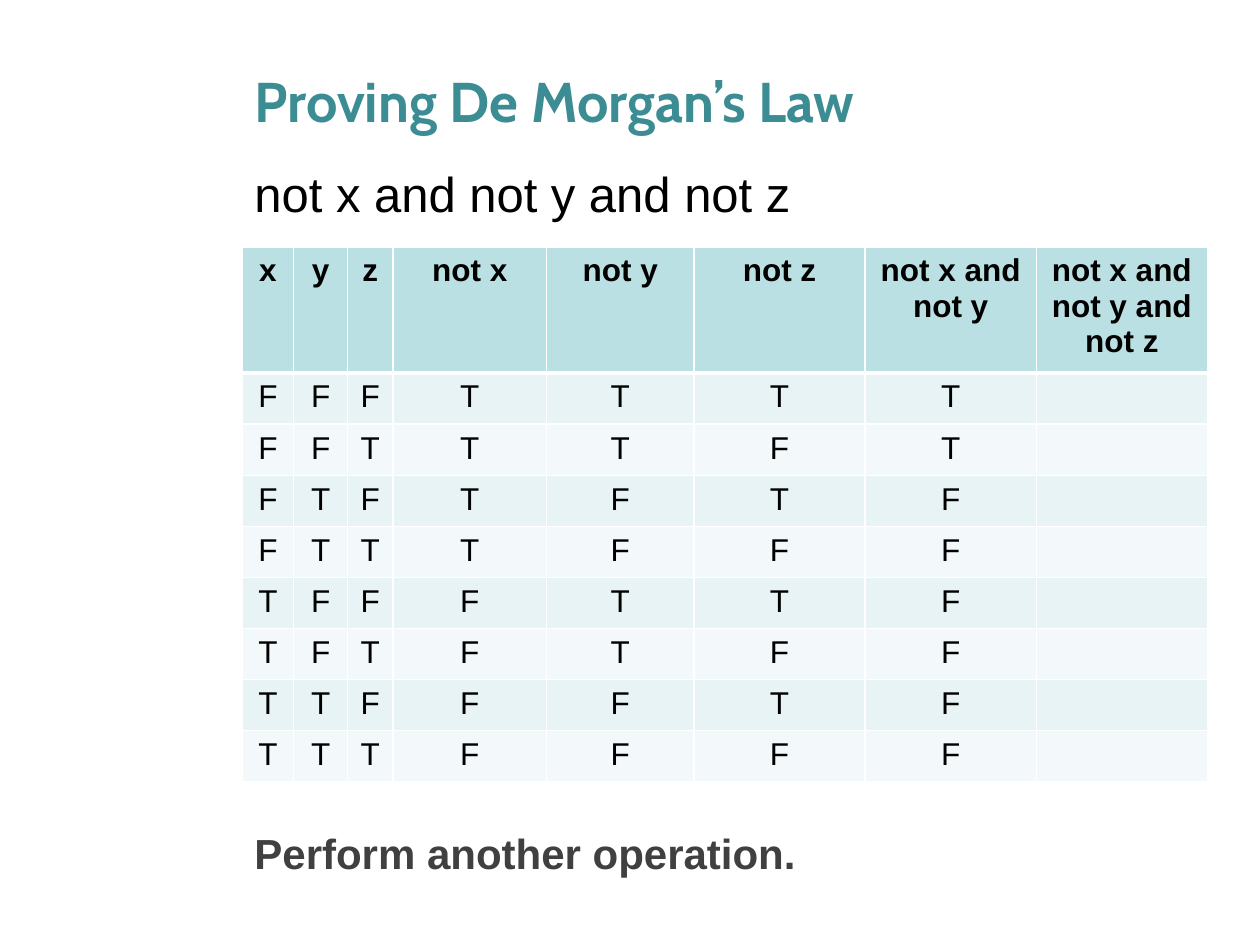
"""Build the truth table slide on De Morgan's Law."""
from lxml.etree import SubElement
from pptx import Presentation
from pptx.dml.color import RGBColor
from pptx.enum.text import MSO_ANCHOR, PP_ALIGN
from pptx.oxml.ns import qn
from pptx.util import Cm, Pt

TEAL = RGBColor(0x3C, 0x8C, 0x93)
BLACK = RGBColor(0, 0, 0)
GRAY = RGBColor(0x40, 0x40, 0x40)
WHITE = RGBColor(0xFF, 0xFF, 0xFF)
HEADER_FILL = RGBColor(0xBB, 0xE0, 0xE3)
BAND_FILLS = (RGBColor(0xE7, 0xF3, 0xF4), RGBColor(0xF3, 0xF9, 0xFA))

TITLE = "Proving De Morgan’s Law"
EXPRESSION = "not x and not y and not z"
PROMPT = "Perform another operation."
HEADERS = ["x", "y", "z", "not x", "not y", "not z", "not x and not y", EXPRESSION]
TRUTH_ROWS = ["FFFTTTT", "FFTTTFT", "FTFTFTF", "FTTTFFF",
              "TFFFTTF", "TFTFTFF", "TTFFFTF", "TTTFFFF"]
COLUMN_WIDTHS = [1.04, 1.09, 0.91, 3.1, 2.97, 3.45, 3.45, 3.45]
HEADER_HEIGHT, ROW_HEIGHT = 2.36, 1.03
LEFT, WIDTH = 4.88, 19.48


def add_run(paragraph, text, size, color, bold=False, font="Arial"):
    run = paragraph.add_run()
    run.text = text
    run.font.name = font
    run.font.size = Pt(size)
    run.font.bold = bold
    run.font.color.rgb = color


def add_line(slide, text, top, height, size, color, bold=False, font="Arial",
             anchor=MSO_ANCHOR.TOP, spacing=1.0, before=0):
    frame = slide.shapes.add_textbox(Cm(LEFT), Cm(top), Cm(WIDTH), Cm(height)).text_frame
    frame.word_wrap = True
    frame.vertical_anchor = anchor
    paragraph = frame.paragraphs[0]
    paragraph.line_spacing = spacing
    paragraph.space_before = Pt(before)
    add_run(paragraph, text, size, color, bold, font)


def set_borders(cell, top, bottom):
    properties = cell._tc.get_or_add_tcPr()
    for side, width in (("L", 1), ("R", 1), ("T", top), ("B", bottom)):
        border = SubElement(properties, qn(f"a:ln{side}"), w=str(Pt(width)))
        fill = SubElement(border, qn("a:solidFill"))
        SubElement(fill, qn("a:srgbClr"), val=str(WHITE))


def add_truth_table(slide, top):
    rows = [HEADERS] + [list(values) + [""] for values in TRUTH_ROWS]
    heights = [HEADER_HEIGHT] + [ROW_HEIGHT] * len(TRUTH_ROWS)
    table = slide.shapes.add_table(len(rows), len(HEADERS), Cm(LEFT), Cm(top),
                                   Cm(WIDTH), Cm(sum(heights))).table
    for column, width in zip(table.columns, COLUMN_WIDTHS):
        column.width = Cm(width)
    for r, (values, height) in enumerate(zip(rows, heights)):
        table.rows[r].height = Cm(height)
        for c, value in enumerate(values):
            cell = table.cell(r, c)
            set_borders(cell, 3 if r == 1 else 1, 3 if r == 0 else 1)
            cell.fill.solid()
            cell.fill.fore_color.rgb = BAND_FILLS[(r - 1) % 2] if r else HEADER_FILL
            paragraph = cell.text_frame.paragraphs[0]
            paragraph.alignment = PP_ALIGN.CENTER
            if value:
                add_run(paragraph, value, 18, BLACK, bold=r == 0)


def main():
    deck = Presentation()
    deck.slide_width, deck.slide_height = Cm(25.4), Cm(19.05)
    slide = deck.slides.add_slide(deck.slide_layouts[6])
    add_line(slide, TITLE, 0.84, 2.34, 32, TEAL, True, "Cabin", MSO_ANCHOR.MIDDLE)
    add_line(slide, EXPRESSION, 3.18, 1.8, 28, BLACK, before=2)
    add_truth_table(slide, 4.98)
    add_line(slide, PROMPT, 16.76, 1.07, 24, GRAY, True, spacing=0.8, before=2)
    deck.save("out.pptx")


if __name__ == "__main__":
    main()
